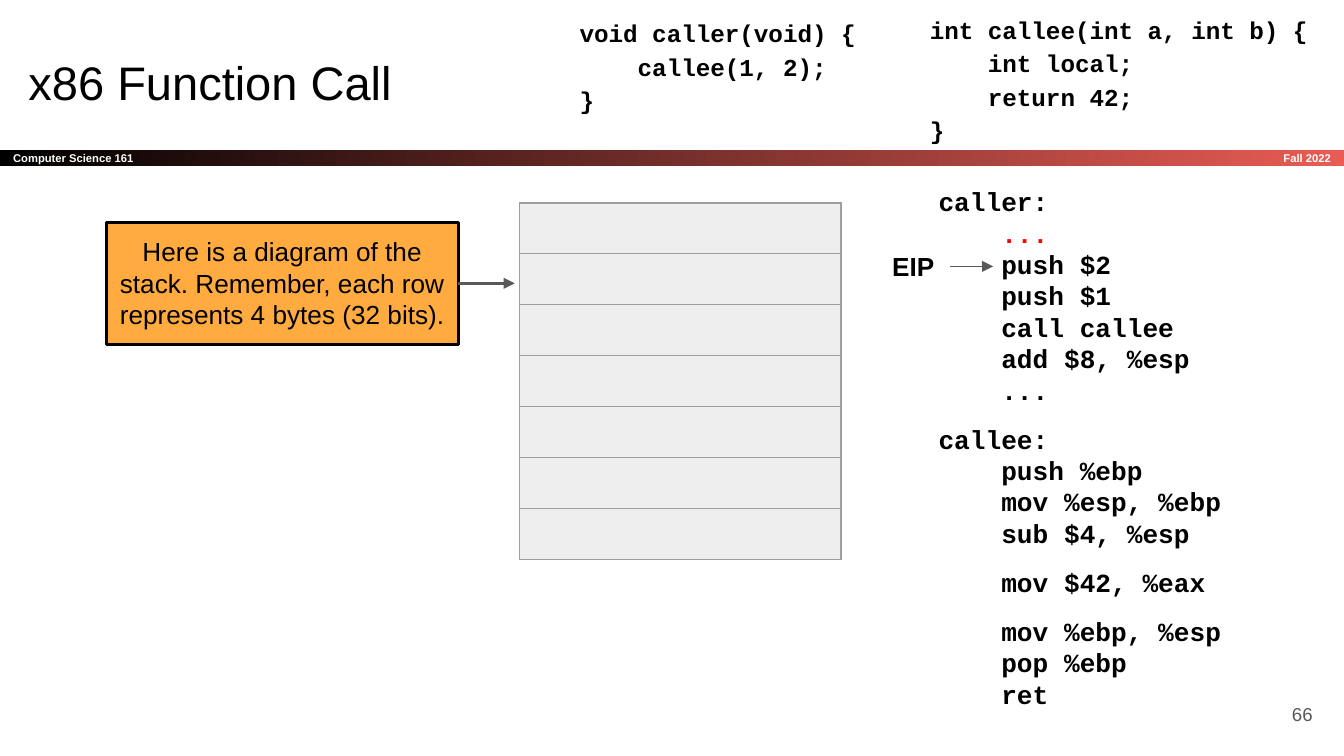
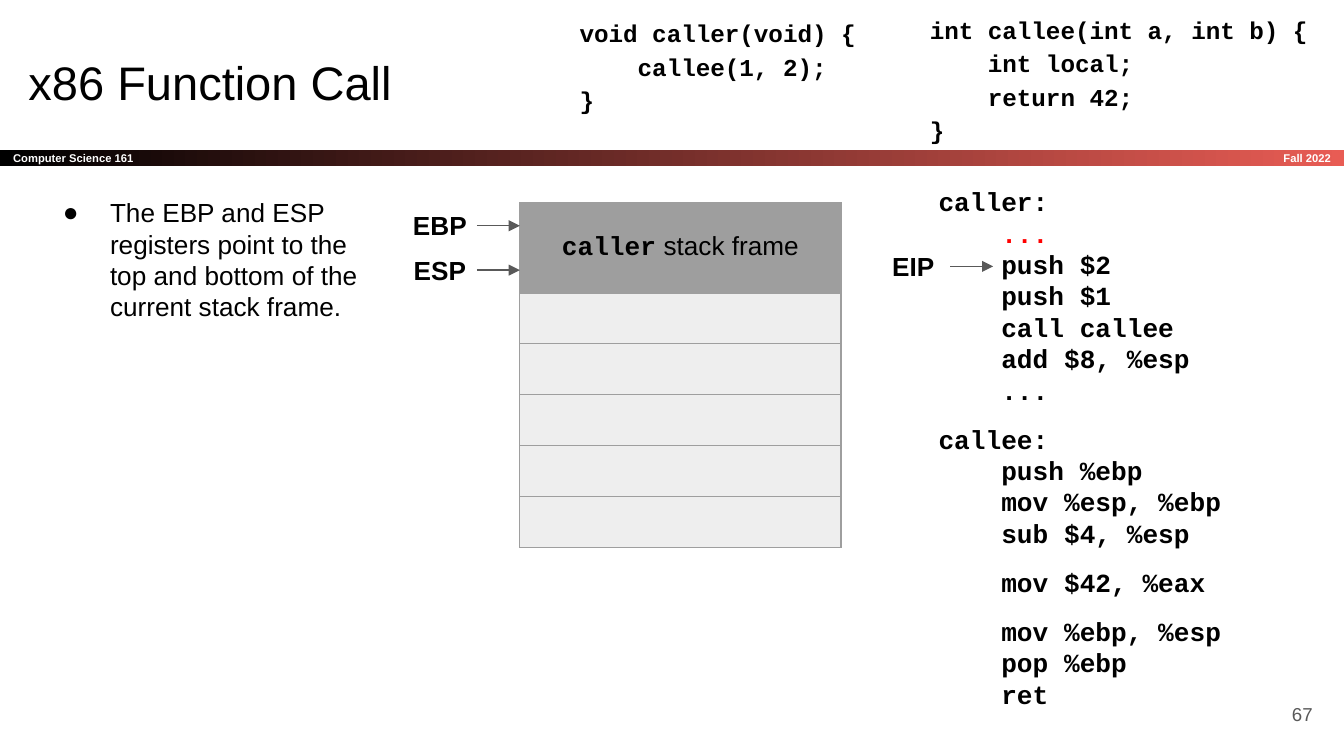
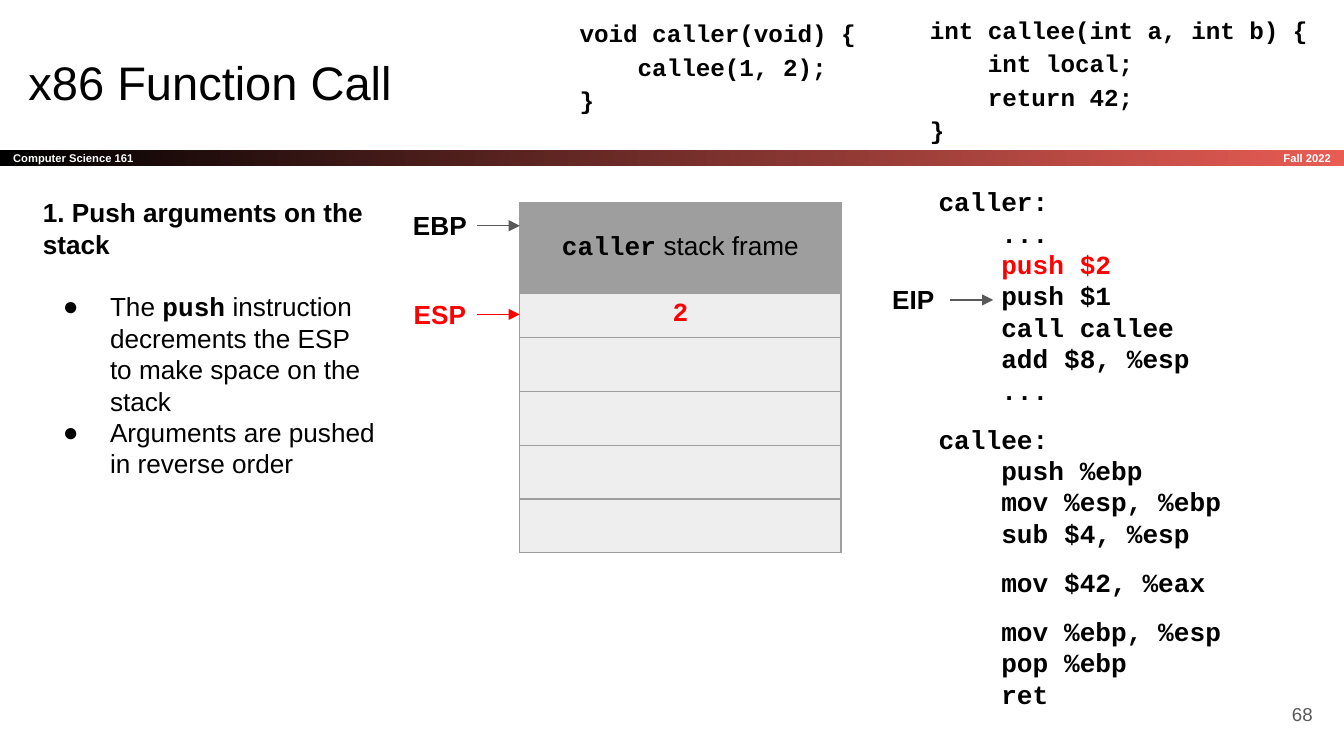
from dataclasses import dataclass

from lxml import etree
from pptx import Presentation
from pptx import util as u
from pptx.dml.color import RGBColor
from pptx.enum import shapes, text
from pptx.oxml import ns

BLACK = RGBColor(0, 0, 0)
WHITE = RGBColor(255, 255, 255)
RED = RGBColor(0xFF, 0, 0)
CORAL = RGBColor(0xE8, 0x5C, 0x54)
ORANGE = RGBColor(0xFF, 0xAB, 0x40)
DARK_GRAY = RGBColor(0x59, 0x59, 0x59)
MID_GRAY = RGBColor(0x9E, 0x9E, 0x9E)
PALE_GRAY = RGBColor(0xEE, 0xEE, 0xEE)

SANS, MONO = "Arial", "Courier New"
CELL = u.Inches(0.1)
COLUMNS, ROWS = 100, 56.25
LEFT, CENTER, RIGHT = text.PP_ALIGN.LEFT, text.PP_ALIGN.CENTER, text.PP_ALIGN.RIGHT
TOP, MIDDLE = text.MSO_ANCHOR.TOP, text.MSO_ANCHOR.MIDDLE

CALLER_SOURCE = "void caller(void) {\n    callee(1, 2);\n}"
CALLEE_SOURCE = "int callee(int a, int b) {\n    int local;\n    return 42;\n}"
ASSEMBLY = [
    "caller:",
    "    ...",
    "    push $2",
    "    push $1",
    "    call callee",
    "    add $8, %esp",
    "    ...",
    "callee:",
    "    push %ebp",
    "    mov %esp, %ebp",
    "    sub $4, %esp",
    "    mov $42, %eax",
    "    mov %ebp, %esp",
    "    pop %ebp",
    "    ret",
]
BLOCK_STARTS = (7, 11, 12)


@dataclass
class Box:
    x: float
    y: float
    w: float
    h: float

    def inner(self, x, y, w, h):
        return Box(self.x + x, self.y + y, w, h)

    def emu(self):
        return [round(v * CELL) for v in (self.x, self.y, self.w, self.h)]


@dataclass
class Style:
    size: float = 14
    font: str = SANS
    color: RGBColor = BLACK
    bold: bool = False

    def apply(self, run):
        run.font.size = u.Pt(self.size)
        run.font.name = self.font
        run.font.color.rgb = self.color
        run.font.bold = self.bold


PLAIN = Style()
STRONG = Style(bold=True)
CODE = Style(font=MONO, bold=True)
RED_CODE = Style(font=MONO, bold=True, color=RED)
SOURCE = Style(13, MONO, bold=True)
BAND = Style(6, color=WHITE, bold=True)


def fill_paragraph(paragraph, pieces, align=LEFT):
    paragraph.alignment = align
    for words, style in pieces:
        run = paragraph.add_run()
        run.text = words
        style.apply(run)


def set_frame(frame, paragraphs, align=LEFT, anchor=TOP, inset=(1, 1)):
    frame.word_wrap = True
    frame.vertical_anchor = anchor
    frame.margin_left = frame.margin_right = round(inset[0] * CELL)
    frame.margin_top = frame.margin_bottom = round(inset[1] * CELL)
    for i, pieces in enumerate(paragraphs):
        paragraph = frame.add_paragraph() if i else frame.paragraphs[0]
        fill_paragraph(paragraph, pieces, align)
    return frame


def add_text(slide, box, paragraphs, **layout):
    return set_frame(slide.shapes.add_textbox(*box.emu()).text_frame, paragraphs, **layout)


def add_panel(slide, box):
    panel = slide.shapes.add_shape(shapes.MSO_SHAPE.RECTANGLE, *box.emu())
    panel.shadow.inherit = False
    return panel


def add_arrow(slide, x, y, length, color=DARK_GRAY, width=0.75):
    ends = [round(v * CELL) for v in (x, y, x + length, y)]
    arrow = slide.shapes.add_connector(shapes.MSO_CONNECTOR.STRAIGHT, *ends)
    arrow.line.color.rgb = color
    arrow.line.width = u.Pt(width)
    properties = arrow.element.spPr
    etree.SubElement(properties.find(ns.qn("a:ln")), ns.qn("a:tailEnd"), type="triangle")
    etree.SubElement(properties, ns.qn("a:effectLst"))


def add_bullet(paragraph):
    properties = paragraph._p.get_or_add_pPr()
    properties.set("marL", str(u.Inches(0.5)))
    properties.set("indent", str(-u.Inches(0.35)))
    color = etree.SubElement(properties, ns.qn("a:buClr"))
    etree.SubElement(color, ns.qn("a:srgbClr"), val=str(BLACK))
    etree.SubElement(properties, ns.qn("a:buSzPts"), val="1400")
    etree.SubElement(properties, ns.qn("a:buFont"), typeface=SANS)
    etree.SubElement(properties, ns.qn("a:buChar"), char="●")


def draw_band(slide, box):
    band = add_panel(slide, box)
    band.line.fill.background()
    band.fill.gradient()
    band.fill.gradient_angle = 0
    for stop, color in zip(band.fill.gradient_stops, (BLACK, CORAL)):
        stop.color.rgb = color
    set_frame(band.text_frame, [[("Computer Science 161", BAND)]], anchor=MIDDLE, inset=(1, 0))
    term = box.inner(box.w - 16.6, 0, 16.6, box.h)
    add_text(slide, term, [[("Fall 2022", BAND)]], align=RIGHT, anchor=MIDDLE, inset=(1, 0))


def draw_header(slide, box):
    title = slide.shapes.title
    title.left, title.top, title.width, title.height = box.inner(1.12, 3, 93.2, 6.3).emu()
    set_frame(title.text_frame, [[("x86 Function Call", Style(25.2))]])
    sources = (
        (CALLER_SOURCE, box.inner(42.15, 0.05, 25, 9.4)),
        (CALLEE_SOURCE, box.inner(68.2, -0.2, 30.5, 11.8)),
    )
    for source, place in sources:
        paragraph = add_text(slide, place, []).paragraphs[0]
        paragraph.text = source
        paragraph.line_spacing = 1.15
        paragraph.space_after = u.Pt(12)
        for run in paragraph.runs:
            SOURCE.apply(run)


def draw_pointer(slide, box, register, color=BLACK):
    label = box.inner(0, 0, 5.5, box.h)
    add_text(slide, label, [[(register, Style(color=color, bold=True))]],
             align=CENTER, inset=(0.5, 0.5))
    add_arrow(slide, box.x + 5.5, box.y + box.h / 2, 3.2, RED if color == RED else DARK_GRAY)


def draw_assembly(slide, box, executed):
    lines = [[(line, RED_CODE if i == executed else CODE)] for i, line in enumerate(ASSEMBLY)]
    frame = add_text(slide, box, lines)
    for start in BLOCK_STARTS:
        frame.paragraphs[start].space_before = u.Pt(9.5)
    draw_pointer(slide, box.inner(-3.65, 0.3 + 2.5 * (executed + 1), 8.7, 3.4), "EIP")


def add_borders(cell):
    properties = cell._tc.get_or_add_tcPr()
    for side in "LRTB":
        line = etree.SubElement(properties, ns.qn(f"a:ln{side}"), w=str(u.Pt(0.75)))
        fill = etree.SubElement(line, ns.qn("a:solidFill"))
        etree.SubElement(fill, ns.qn("a:srgbClr"), val=str(MID_GRAY))


def draw_stack(slide, box, rows):
    place = Box(box.x, box.y, box.w, sum(height for height, _, _ in rows))
    table = slide.shapes.add_table(len(rows), 1, *place.emu()).table
    table.first_row = table.horz_banding = False
    for i, (height, color, pieces) in enumerate(rows):
        table.rows[i].height = round(height * CELL)
        cell = table.cell(i, 0)
        add_borders(cell)
        cell.fill.solid()
        cell.fill.fore_color.rgb = color
        cell.margin_left = cell.margin_right = round(0.5 * CELL)
        cell.margin_top = cell.margin_bottom = round(0.5 * CELL) if pieces else 0
        cell.vertical_anchor = MIDDLE if color == MID_GRAY else TOP
        fill_paragraph(cell.text_frame.paragraphs[0], pieces, CENTER)


def draw_stack_pointers(slide, box, esp_row, esp_color=BLACK):
    for register, row, color in (("EBP", 0, BLACK), ("ESP", esp_row, esp_color)):
        draw_pointer(slide, box.inner(-8.7, 3.3 * row, 8.7, 3.4), register, color)


def draw_callout(slide, box):
    callout = add_panel(slide, box)
    callout.fill.solid()
    callout.fill.fore_color.rgb = ORANGE
    callout.line.color.rgb = BLACK
    callout.line.width = u.Pt(1.5)
    note = "Here is a diagram of the stack. Remember, each row represents 4 bytes (32 bits)."
    set_frame(callout.text_frame, [[(note, PLAIN)]], align=CENTER)
    add_arrow(slide, box.x + box.w, box.y + box.h / 2, 4.2, width=1.5)


def draw_notes(slide, box, bullets, heading=None):
    headings = [[(heading, STRONG)]] if heading else []
    frame = add_text(slide, box, headings + bullets)
    points = frame.paragraphs[len(headings):]
    if heading:
        points[0].space_before = u.Pt(16.8)
    for point in points:
        add_bullet(point)


def add_call_slide(deck, number, executed):
    slide = deck.slides.add_slide(deck.slide_layouts[5])
    draw_band(slide, Box(0, 11.15, COLUMNS, 1.2))
    draw_header(slide, Box(0, 0, COLUMNS, 11.15))
    draw_assembly(slide, Box(68.85, 12.82, 28.3, 42.5), executed)
    add_text(slide, Box(92.65, 51, 6, 4.3), [[(str(number), Style(10, color=DARK_GRAY))]],
             align=RIGHT, anchor=MIDDLE)
    return slide


def main():
    deck = Presentation()
    deck.slide_width, deck.slide_height = round(COLUMNS * CELL), round(ROWS * CELL)
    stack = Box(38.68, 15.1, 23.9, 32.8)
    notes = Box(2.2, 13.63, 26.8, 41.2)
    empty = (3.79, PALE_GRAY, [])
    caller_frame = (6.7, MID_GRAY, [("caller", CODE), (" stack frame", PLAIN)])

    overview = add_call_slide(deck, 66, 1)
    draw_stack(overview, stack, [empty] * 7)
    draw_callout(overview, Box(7.9, 16.53, 26.2, 9.1))

    registers = add_call_slide(deck, 67, 1)
    draw_stack(registers, stack, [caller_frame] + [empty] * 5)
    draw_stack_pointers(registers, stack, 1)
    draw_notes(registers, notes, [[(
        "The EBP and ESP registers point to the top and bottom of the current stack frame.",
        PLAIN)]])

    arguments = add_call_slide(deck, 68, 2)
    pushed = (3.3, PALE_GRAY, [("2", RED_CODE)])
    draw_stack(arguments, stack, [caller_frame, pushed] + [(4, PALE_GRAY, [])] * 4)
    draw_stack_pointers(arguments, stack, 2, RED)
    draw_notes(arguments, notes, [
        [("The ", PLAIN), ("push", CODE),
         (" instruction decrements the ESP to make space on the stack", PLAIN)],
        [("Arguments are pushed in reverse order", PLAIN)],
    ], "1. Push arguments on the stack")

    deck.save("out.pptx")


if __name__ == "__main__":
    main()
